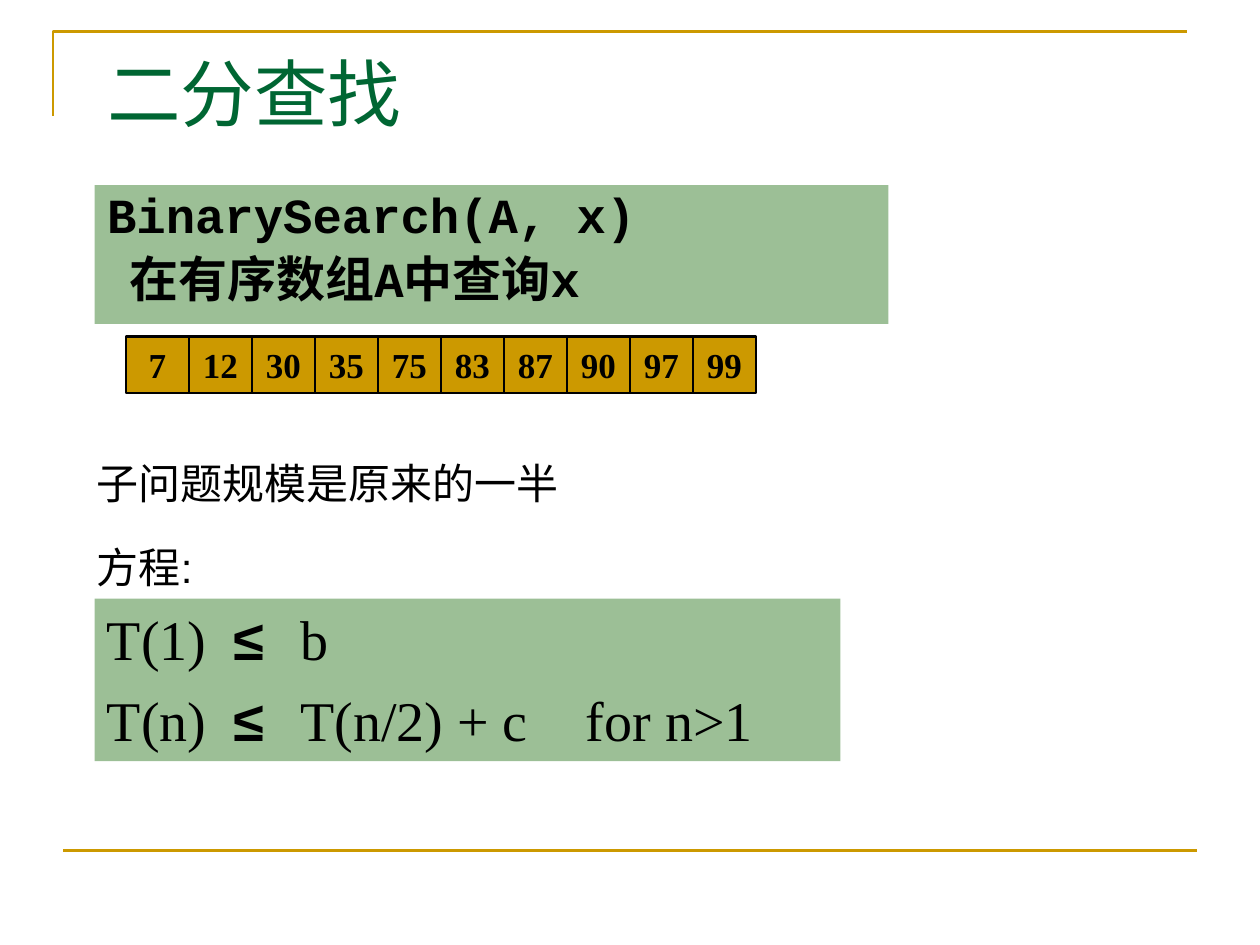
"""Build the binary search slide with its sorted array and recurrence."""
import dataclasses
import typing

import lxml.etree
import pptx
import pptx.dml.color
import pptx.enum.shapes
import pptx.enum.text
import pptx.oxml.ns
import pptx.util

Inches = pptx.util.Inches
Pt = pptx.util.Pt
qn = pptx.oxml.ns.qn
MIDDLE = pptx.enum.text.MSO_ANCHOR.MIDDLE
CENTER = pptx.enum.text.PP_ALIGN.CENTER
COLORS = {"gold": "CC9900", "title": "006633", "panel": "3B812F", "ink": "000000"}
SERIF, MONO, SANS = "Times New Roman", "Courier New", "Arial"
ARRAY = (7, 12, 30, 35, 75, 83, 87, 90, 97, 99)
CELL_WIDTH = 0.5


@dataclasses.dataclass(frozen=True)
class Area:
    left: float
    top: float
    width: float
    height: float

    def lengths(self) -> tuple:
        return tuple(Inches(value) for value in dataclasses.astuple(self))


@dataclasses.dataclass(frozen=True)
class Note:
    text: str
    area: Area


NOTES = (
    Note("子问题规模是原来的一半", Area(0.67, 3.58, 6.58, 0.5)),
    Note("方程:", Area(0.67, 4.25, 5.83, 0.5)),
)
RECURRENCE = (("T(1)", "b"), ("T(n)", "T(n/2) + c\tfor n>1"))


def color(name: str) -> pptx.dml.color.RGBColor:
    return pptx.dml.color.RGBColor.from_string(COLORS[name])


def write(para, text: str, *, size: float, font: str, ink: str = "ink", bold: bool = False) -> None:
    span = para.add_run()
    span.text = text
    span.font.size = Pt(size)
    span.font.name = font
    span.font.bold = bold
    span.font.color.rgb = color(ink)


def prepare(frame, *, wrap: bool = True, anchor=pptx.enum.text.MSO_ANCHOR.TOP):
    frame.word_wrap = wrap
    frame.auto_size = pptx.enum.text.MSO_AUTO_SIZE.NONE
    frame.vertical_anchor = anchor
    return frame.paragraphs[0]


def place(box, area: Area) -> None:
    box.left, box.top, box.width, box.height = area.lengths()


def fill_panel(box) -> None:
    box.fill.solid()
    box.fill.fore_color.rgb = color("panel")
    tint = box.fill._xPr.find(qn("a:solidFill"))[0]
    lxml.etree.SubElement(tint, qn("a:alpha"), val="50000")


def add_rectangle(slide, area: Area):
    box = slide.shapes.add_shape(pptx.enum.shapes.MSO_SHAPE.RECTANGLE, *area.lengths())
    box.shadow.inherit = False
    return box


def outline(shape, name: str) -> None:
    shape.line.color.rgb = color(name)
    shape.line.width = Pt(1.5)


def add_frame(slide) -> None:
    builder = slide.shapes.build_freeform(Inches(0.42), Inches(0.92), 1.0)
    corners = [(Inches(0.42), Inches(0.25)), (Inches(9.42), Inches(0.25))]
    builder.add_line_segments(corners, close=False)
    corner = builder.convert_to_shape()
    corner.fill.background()
    corner.shadow.inherit = False
    outline(corner, "gold")
    rule = slide.shapes.add_connector(
        pptx.enum.shapes.MSO_CONNECTOR.STRAIGHT,
        Inches(0.5), Inches(6.75), Inches(9.5), Inches(6.75))
    outline(rule, "gold")
    lxml.etree.SubElement(rule._element.spPr, qn("a:effectLst"))


def fill_title(title) -> None:
    place(title, Area(0.75, 0.33, 8.5, 1.25))
    para = prepare(title.text_frame)
    para.alignment = pptx.enum.text.PP_ALIGN.LEFT
    write(para, "二分查找", size=42, font=SERIF, ink="title")


def fill_body(body) -> None:
    place(body, Area(0.75, 1.47, 6.3, 1.1))
    fill_panel(body)
    first = prepare(body.text_frame)
    second = body.text_frame.add_paragraph()
    lines = ((first, "BinarySearch(A, x)", 0, 0), (second, "在有序数组A中查询x", 0.18, 6))
    for para, text, margin, gap in lines:
        para.line_spacing = 0.9
        para.space_before = Pt(gap)
        properties = para._p.get_or_add_pPr()
        properties.set("marL", str(Inches(margin)))
        properties.set("indent", "0")
        lxml.etree.SubElement(properties, qn("a:buNone"))
        write(para, text, size=28, font=MONO, bold=True)


def add_array(slide, values: typing.Sequence[int]) -> None:
    for index, value in enumerate(values):
        cell = add_rectangle(slide, Area(1 + index * CELL_WIDTH, 2.67, CELL_WIDTH, 0.45))
        cell.fill.solid()
        cell.fill.fore_color.rgb = color("gold")
        outline(cell, "ink")
        para = prepare(cell.text_frame, wrap=False, anchor=MIDDLE)
        para.alignment = CENTER
        write(para, str(value), size=20, font=SERIF, bold=True)


def add_note(slide, note: Note) -> None:
    box = slide.shapes.add_textbox(*note.area.lengths())
    write(prepare(box.text_frame), note.text, size=24, font=SANS)


def add_recurrence(slide) -> None:
    box = add_rectangle(slide, Area(0.75, 4.75, 5.92, 1.29))
    fill_panel(box)
    box.line.fill.background()
    para = prepare(box.text_frame)
    for index, (left, right) in enumerate(RECURRENCE):
        if index:
            para = box.text_frame.add_paragraph()
            para.space_before = Pt(8)
        para.alignment = pptx.enum.text.PP_ALIGN.LEFT
        tabs = lxml.etree.SubElement(para._p.get_or_add_pPr(), qn("a:tabLst"))
        for stop in (1, 3.8):
            lxml.etree.SubElement(tabs, qn("a:tab"), pos=str(Inches(stop)), algn="l")
        write(para, left + "\t", size=32, font=SERIF)
        write(para, "≤ ", size=32, font=MONO, bold=True)
        write(para, right, size=32, font=SERIF)


def main() -> None:
    deck = pptx.Presentation()
    deck.slide_width, deck.slide_height = Inches(10), Inches(7.5)
    page = deck.slides.add_slide(deck.slide_layouts[1])
    add_frame(page)
    fill_title(page.shapes.title)
    fill_body(page.placeholders[1])
    add_array(page, ARRAY)
    for note in NOTES:
        add_note(page, note)
    add_recurrence(page)
    deck.save("out.pptx")


if __name__ == "__main__":
    main()
